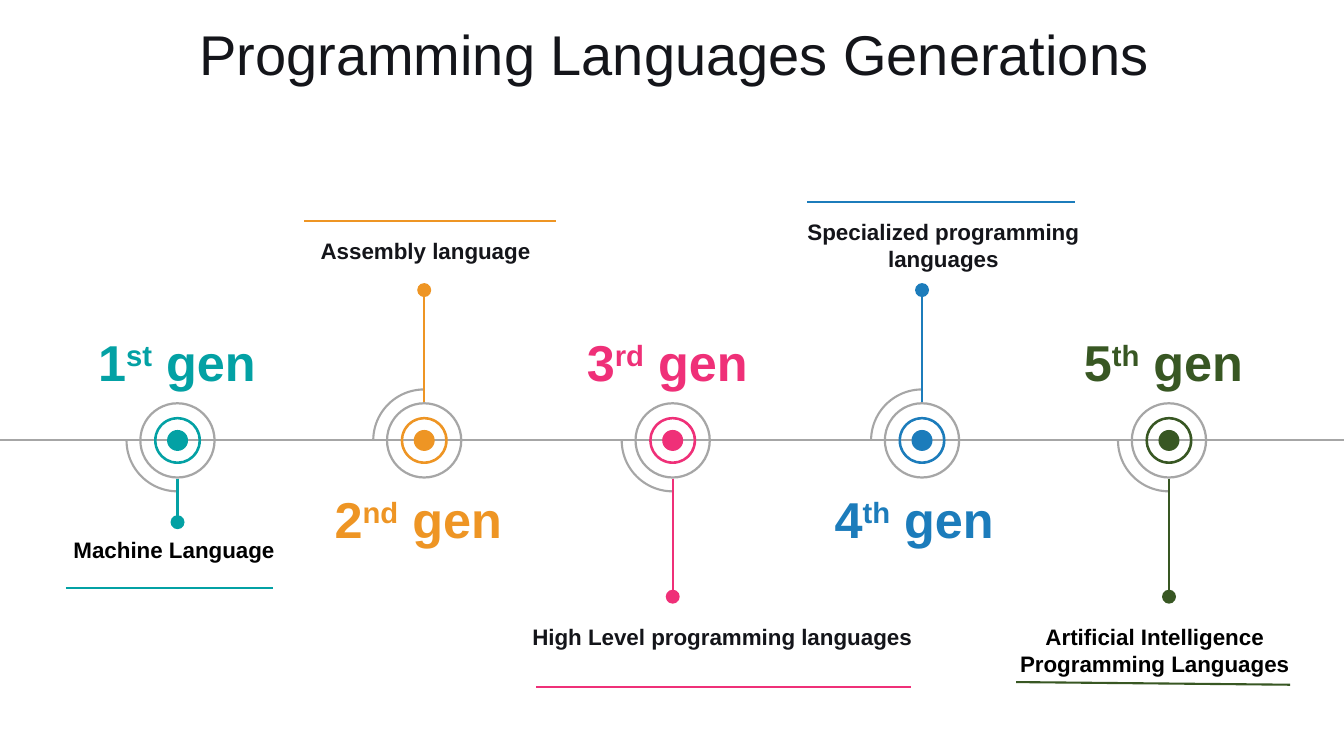
from lxml.etree import SubElement
from pptx import Presentation
from pptx.dml.color import RGBColor
from pptx.enum.shapes import MSO_CONNECTOR as Connector, MSO_SHAPE as Shape
from pptx.enum.text import MSO_ANCHOR as Anchor, MSO_AUTO_SIZE as AutoSize, PP_ALIGN as Align
from pptx.oxml.ns import qn
from pptx.util import Pt

COLORS = {
    "ink": "14151A", "black": "000000", "gray": "A6A6A6",
    "teal": "03A1A4", "orange": "EE9524", "pink": "EF3078",
    "blue": "1C7CBB", "green": "385723",
}
TITLE = "Programming Languages Generations"
# caption box: left, top, width, height; rule: x1, y1, x2, y2 (points)
GENERATIONS = [
    dict(number="1", suffix="st", color="teal", center=126.8, label_center=126.4,
         up=False, stem_end=373, caption="Machine Language", ink="black",
         align=Align.LEFT, box=(45.4, 379.5, 162.7, 26.6), rule=(47, 419.8, 195, 419.8)),
    dict(number="2", suffix="nd", color="orange", center=303, label_center=298.8,
         up=True, stem_end=207.2, caption="Assembly language", ink="ink",
         align=Align.CENTER, box=(210, 165.6, 188, 26.6), rule=(217.4, 158, 397.4, 158)),
    dict(number="3", suffix="rd", color="pink", center=480.5, label_center=476.6,
         up=False, stem_end=426.2, caption="High Level programming languages", ink="ink",
         align=Align.CENTER, box=(365.8, 441.4, 300.2, 26.6), rule=(383, 491, 651, 491)),
    dict(number="4", suffix="th", color="blue", center=658.6, label_center=653,
         up=True, stem_end=207.2, caption="Specialized programming languages", ink="ink",
         align=Align.CENTER, box=(568, 152, 211.7, 46), rule=(576.7, 144.4, 768.2, 144.4)),
    dict(number="5", suffix="th", color="green", center=835, label_center=831,
         up=False, stem_end=426.2, caption="Artificial Intelligence Programming Languages",
         ink="black", align=Align.CENTER, box=(707.8, 441.4, 234, 46),
         rule=(725.8, 487.2, 921.6, 489.1)),
]
PAGE_WIDTH, PAGE_HEIGHT = 960, 540
AXIS_Y = 314.6
ARC, RING, INNER_RING, HUB, DOT = 72.8, 54.6, 33.6, 15, 10
LABEL_WIDTH, LABEL_HEIGHT = 168, 51
LABEL_ABOVE, LABEL_BELOW = 233.3, 345


def rgb(name):
    return RGBColor.from_string(COLORS[name])


def add_line(page, x1, y1, x2, y2, color):
    line = page.shapes.add_connector(Connector.STRAIGHT, Pt(x1), Pt(y1), Pt(x2), Pt(y2))
    line.line.color.rgb = rgb(color)
    line.line.width = Pt(1.5)
    SubElement(line._element.spPr, qn("a:effectLst"))


def add_round(page, kind, x, y, size, color, adjustments=(), rotation=0):
    """Add a circular shape centred on x, y; an arc is outlined, the rest are filled."""
    shape = page.shapes.add_shape(kind, Pt(x - size / 2), Pt(y - size / 2), Pt(size), Pt(size))
    shape.shadow.inherit = False
    shape.rotation = rotation
    for index, value in enumerate(adjustments):
        shape.adjustments[index] = value
    if kind == Shape.ARC:
        shape.fill.background()
        shape.line.color.rgb = rgb(color)
        shape.line.width = Pt(1.5)
    else:
        shape.fill.solid()
        shape.fill.fore_color.rgb = rgb(color)
        shape.line.fill.background()


def write(box, spans, size, color, bold=True, align=Align.CENTER):
    """Fill a box with one paragraph of (text, baseline) spans."""
    frame = box.text_frame
    frame.word_wrap = True
    frame.auto_size = AutoSize.NONE
    frame.vertical_anchor = Anchor.TOP
    para = frame.paragraphs[0]
    para.alignment = align
    for text, baseline in spans:
        span = para.add_run()
        span.text = text
        span.font.name = "Arial"
        span.font.size = Pt(size)
        span.font.bold = bold
        span.font.color.rgb = rgb(color)
        if baseline:
            span.font._element.set("baseline", str(baseline))


def add_text(page, left, top, width, height, spans, **style):
    box = page.shapes.add_textbox(Pt(left), Pt(top), Pt(width), Pt(height))
    write(box, spans, **style)


def add_generation(page, gen):
    x, color, up = gen["center"], gen["color"], gen["up"]
    add_round(page, Shape.ARC, x, AXIS_Y, ARC, "gray", (54, 108), 90 if up else 0)
    add_round(page, Shape.OVAL, x, AXIS_Y, HUB, color)
    add_round(page, Shape.DONUT, x, AXIS_Y, INNER_RING, color, (0.053,))
    add_round(page, Shape.DONUT, x, AXIS_Y, RING, "gray", (0.029,))

    ring_edge = AXIS_Y + (-RING if up else RING) / 2
    add_line(page, x, ring_edge, x, gen["stem_end"], color)
    add_round(page, Shape.OVAL, x, gen["stem_end"], DOT, color)

    add_text(page, gen["label_center"] - LABEL_WIDTH / 2, LABEL_BELOW if up else LABEL_ABOVE,
             LABEL_WIDTH, LABEL_HEIGHT,
             [(gen["number"], 0), (gen["suffix"], 30000), (" gen", 0)], size=36, color=color)
    add_text(page, *gen["box"], [(gen["caption"], 0)], size=16,
             color=gen["ink"], align=gen["align"])
    add_line(page, *gen["rule"], color)


def main():
    deck = Presentation()
    deck.slide_width, deck.slide_height = Pt(PAGE_WIDTH), Pt(PAGE_HEIGHT)
    page = deck.slides.add_slide(deck.slide_layouts[5])
    title = page.shapes.title
    title.left, title.top, title.width, title.height = Pt(51), Pt(10), Pt(860.4), Pt(55.4)
    write(title, [(TITLE, 0)], size=40, color="ink", bold=False)
    add_line(page, 0, AXIS_Y, PAGE_WIDTH, AXIS_Y, "gray")
    for gen in GENERATIONS:
        add_generation(page, gen)
    deck.save("out.pptx")


if __name__ == "__main__":
    main()
